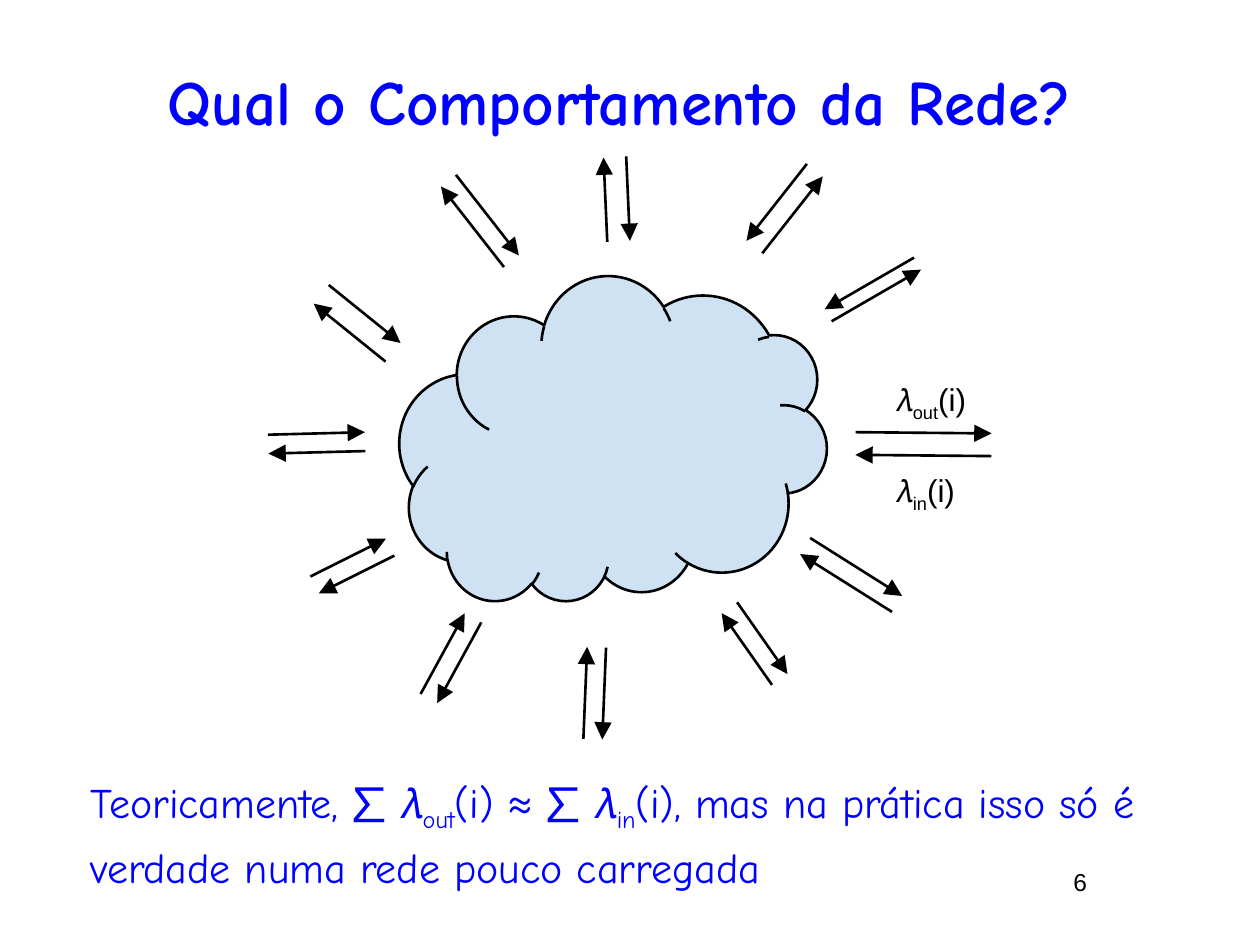
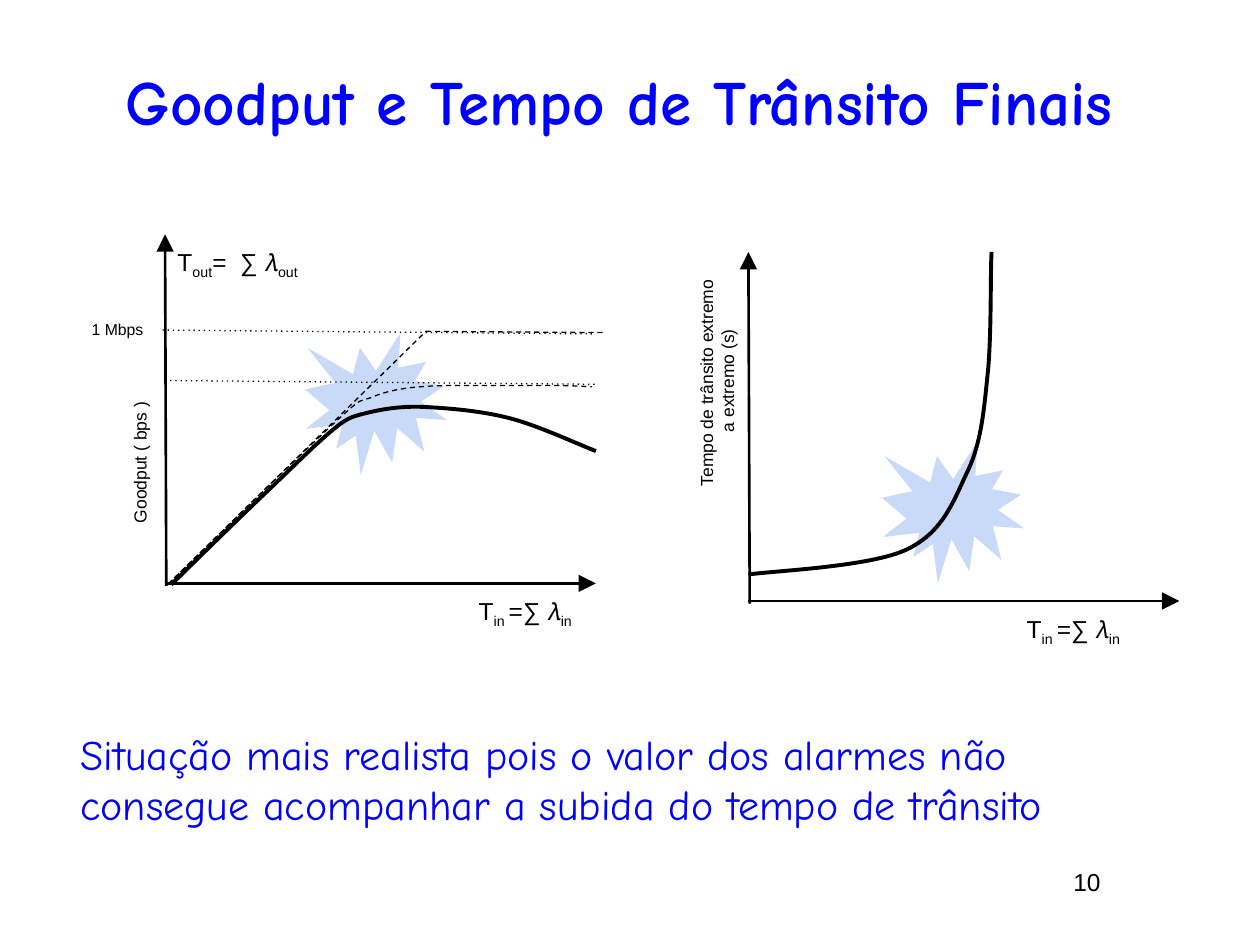
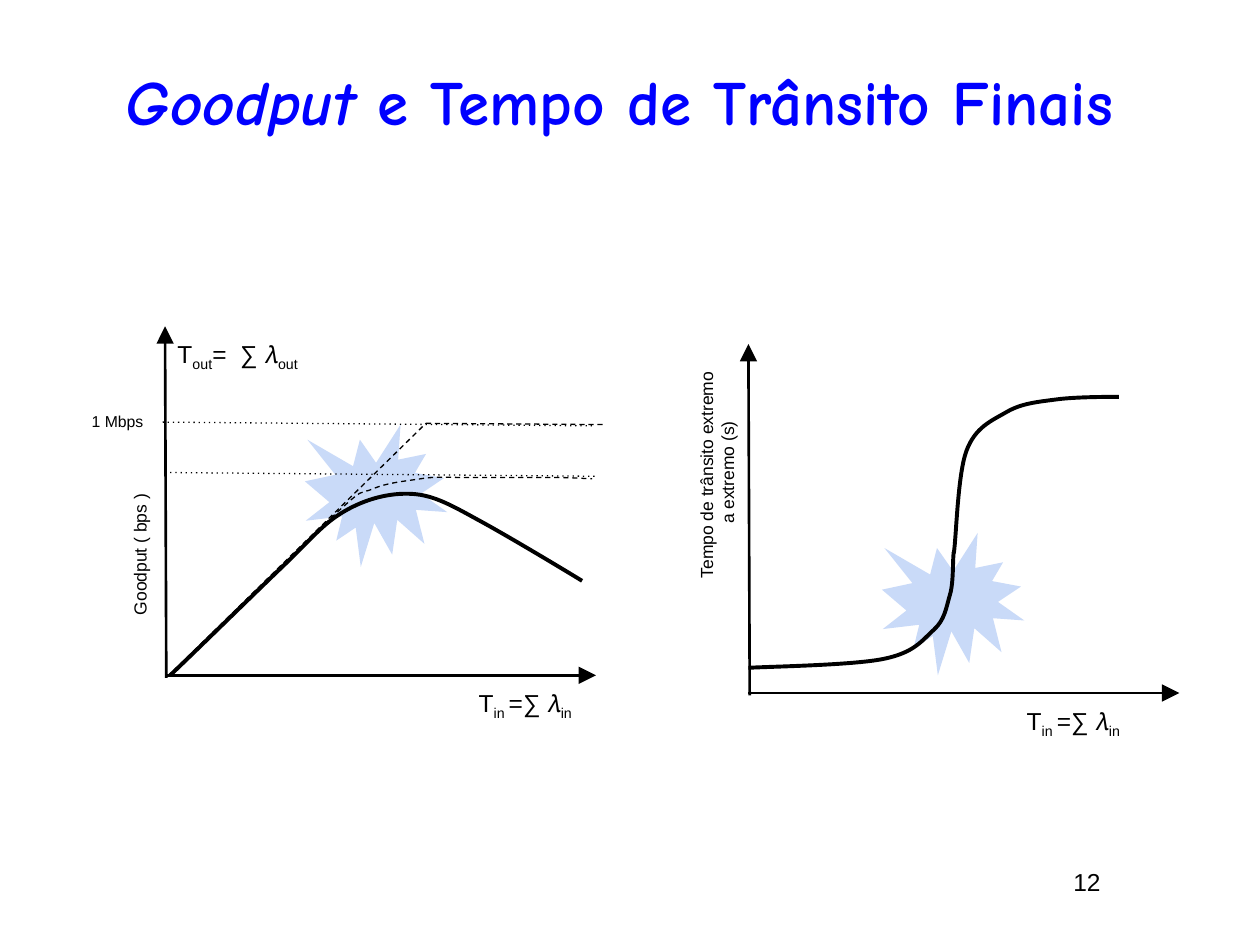
from dataclasses import dataclass
from itertools import pairwise
from math import hypot

from lxml.etree import SubElement
from pptx import Presentation
from pptx.dml.color import RGBColor
from pptx.enum.shapes import MSO_CONNECTOR, MSO_SHAPE
from pptx.enum.text import MSO_ANCHOR, PP_ALIGN
from pptx.oxml.ns import qn
from pptx.util import Pt

PX = 9144


@dataclass(frozen=True)
class Theme:
    """Colours, fonts, type sizes and line widths shared by the slides."""

    ink: str = "000000"
    accent: str = "0000FF"
    cloud: str = "CFE2F3"
    burst: str = "C9DAF8"
    heading_font: str = "Comic Neue"
    label_font: str = "Arial"
    title: int = 36
    body: int = 24
    rate: int = 18
    label: int = 14
    axis: int = 10
    level: int = 9
    thin: float = 0.75
    line: float = 1.5
    thick: float = 2.25


@dataclass(frozen=True)
class Flow:
    """Traffic at one edge: start from the cloud centre, reach outwards, gap to its return."""

    start: tuple
    reach: tuple
    gap: int = 15

    def arrows(self):
        """Return the outgoing arrow and the parallel incoming one."""
        (x, y), (dx, dy) = self.start, self.reach
        shift = self.gap / hypot(dx, dy)
        back_x, back_y = x - dy * shift, y + dx * shift
        return (((x, y), (x + dx, y + dy)),
                ((back_x + dx, back_y + dy), (back_x, back_y)))


THEME = Theme()

FLOWS = {
    "north": Flow((-4, -157), (-3, -67), 18),
    "north-east": Flow((119, -148), (48, -61), -16),
    "east-north-east": Flow((174, -94), (71, -41), -11),
    "east": Flow((193, -6), (108, 1), 18),
    "south-east": Flow((157, 78), (73, 46)),
    "south-south-east": Flow((99, 129), (40, 57)),
    "south": Flow((-5, 165), (-3, 73)),
    "south-south-west": Flow((-104, 145), (-35, 64)),
    "west-south-west": Flow((-173, 92), (-60, 30)),
    "west": Flow((-196, 9), (-77, 2)),
    "west-north-west": Flow((-180, -62), (-57, -46), 19),
    "north-west": Flow((-86, -137), (-50, -64)),
}

AXIS_HEIGHT, AXIS_WIDTH = 277, 342
BURST_SIDE = 113
CAPACITY, USABLE = 76, 116

IDEAL = [(2, 278), (207, 77), (350, 78)]
SATURATED = [(3, 277), (133, 151), (165, 129), (203, 121), (241, 120), (309, 120),
             (339, 121)]
DECLINING = [(5, 278), (80, 205), (131, 157), (159, 142), (206, 137), (274, 146),
             (342, 172)]
COLLAPSING = [(4, 277), (94, 190), (142, 147), (196, 133), (251, 155), (331, 202)]
UNBOUNDED_DELAY = [(0, 256), (126, 236), (174, 174), (190, 96), (193, 0)]
RISING_DELAY = [(0, 257), (107, 250), (147, 227), (160, 199), (163, 165)]
LEVELLED_DELAY = [(163, 166), (173, 85), (205, 54), (245, 44), (294, 42)]


def shifted(origin, point):
    """Turn a point relative to the origin into a slide point."""
    return origin[0] + point[0], origin[1] + point[1]


def emu(lengths):
    """Turn px lengths into whole EMU."""
    return [round(length * PX) for length in lengths]


def lower(font):
    """Set a run as subscript."""
    font._element.set("baseline", "-25000")


def slant(font):
    """Set a run in italics."""
    font.italic = True


def write(slide, box, lines, size, font=THEME.label_font, color=THEME.ink, bold=False,
          align=PP_ALIGN.LEFT, anchor=MSO_ANCHOR.TOP, inset=10, spacing=None,
          rotation=0, mark=lower):
    """Add a text box; the parts between underscores take the given mark."""
    words = slide.shapes.add_textbox(*emu(box))
    words.rotation = rotation
    frame = words.text_frame
    frame.word_wrap = True
    frame.vertical_anchor = anchor
    frame.margin_left = frame.margin_right = 10 * PX
    frame.margin_top = frame.margin_bottom = inset * PX
    frame.text = "\n" * (len(lines) - 1)
    for paragraph, line in zip(frame.paragraphs, lines):
        paragraph.alignment = align
        paragraph.line_spacing = spacing
        for index, part in enumerate(line.split("_")):
            if not part:
                continue
            run = paragraph.add_run()
            run.text = part
            run.font.name = font
            run.font.size = Pt(size)
            run.font.bold = bold
            run.font.color.rgb = RGBColor.from_string(color)
            if index % 2:
                mark(run.font)


def write_message(slide, box, message, **layout):
    """Write the blue closing sentence of a slide."""
    write(slide, box, [message], THEME.body, THEME.heading_font, THEME.accent, **layout)


def stroke(outline, width, dash=None, arrow=False):
    """Style a line or curve, without shadow."""
    outline.line.width = Pt(width)
    outline.line.fill.solid()
    outline.line.fill.fore_color.rgb = RGBColor.from_string(THEME.ink)
    properties = outline.element.spPr
    pen = properties.find(qn("a:ln"))
    if dash:
        SubElement(pen, qn("a:prstDash"), val=dash)
    if arrow:
        SubElement(pen, qn("a:tailEnd"), type="triangle", w="lg", len="lg")
    if properties.find(qn("a:effectLst")) is None:
        SubElement(properties, qn("a:effectLst"))


def draw_line(slide, origin, start, end, width=THEME.line, dash=None, arrow=False):
    """Draw a straight line whose ends are relative to the origin."""
    ends = shifted(origin, start) + shifted(origin, end)
    segment = slide.shapes.add_connector(MSO_CONNECTOR.STRAIGHT, *emu(ends))
    stroke(segment, width, dash, arrow)


def smooth_controls(knots):
    """Return the two controls and the end of each Catmull-Rom span."""
    padded = [knots[0], *knots, knots[-1]]
    spans = []
    for before, start, end, after in zip(padded, padded[1:], padded[2:], padded[3:]):
        leaving = [s + (e - b) / 6 for b, s, e in zip(before, start, end)]
        arriving = [e - (a - s) / 6 for s, e, a in zip(start, end, after)]
        spans += [leaving, arriving, end]
    return spans


def draw_curve(slide, origin, knots, width=THEME.thick, dash=None):
    """Draw a smooth curve through knots relative to the origin."""
    builder = slide.shapes.build_freeform(*shifted(origin, knots[0]), scale=PX)
    builder.add_line_segments(
        [shifted(origin, point) for point in smooth_controls(knots)], close=False)
    curve = builder.convert_to_shape()
    steps = list(curve.element.spPr.iter(qn("a:lnTo")))
    for span in zip(steps[::3], steps[1::3], steps[2::3]):
        bend = SubElement(span[0].getparent(), qn("a:cubicBezTo"))
        for step in span:
            bend.append(step[0])
            step.getparent().remove(step)
    curve.fill.background()
    curve.shadow.inherit = False
    stroke(curve, width, dash)


def fill_shape(slide, kind, box, color):
    """Add a filled preset shape without outline or shadow."""
    figure = slide.shapes.add_shape(kind, *emu(box))
    figure.shadow.inherit = False
    figure.fill.solid()
    figure.fill.fore_color.rgb = RGBColor.from_string(color)
    figure.line.fill.background()
    return figure


def add_page(deck, title, number):
    """Add a blank slide with its title and page number."""
    slide = deck.slides.add_slide(deck.slide_layouts[6])
    write(slide, (33, 42, 917, 75), [title], THEME.title, THEME.heading_font,
          THEME.accent, bold=True, align=PP_ALIGN.CENTER, anchor=MSO_ANCHOR.MIDDLE,
          mark=slant)
    write(slide, (842, 683, 100, 42), [str(number)], THEME.label, inset=5)
    return slide


def draw_network(slide, centre):
    """Draw the network cloud around its centre, with the flows at its edges."""
    cloud = fill_shape(slide, MSO_SHAPE.CLOUD,
                       (*shifted(centre, (-169, -129)), 339, 258), THEME.cloud)
    cloud.rotation = 180
    stroke(cloud, THEME.line)
    for rate, y in (("𝜆_out_(i)", -57), ("𝜆_in_(i)", 15)):
        write(slide, (*shifted(centre, (215, y)), 76, 43), [rate], THEME.rate)
    for flow in FLOWS.values():
        for start, end in flow.arrows():
            draw_line(slide, centre, start, end, arrow=True)


def draw_axes(slide, origin, burst, load_x):
    """Draw the burst, both axes and the load label of a plot."""
    fill_shape(slide, MSO_SHAPE.EXPLOSION1,
               (*shifted(origin, burst), BURST_SIDE, BURST_SIDE), THEME.burst)
    corner = (0, AXIS_HEIGHT)
    draw_line(slide, origin, (1, AXIS_HEIGHT + 2), (0, 0), arrow=True)
    draw_line(slide, origin, corner, (AXIS_WIDTH, AXIS_HEIGHT), arrow=True)
    write(slide, (*shifted(origin, (load_x, AXIS_HEIGHT)), 132, 48),
          ["T_in _=∑ 𝜆_in_"], THEME.label)


def draw_goodput(slide, origin, goodput):
    """Draw the goodput plot with its limits and the final curve."""
    draw_axes(slide, origin, (111, 78), 239)
    for x, level in ((-2, CAPACITY), (0, USABLE)):
        draw_line(slide, origin, (x, level), (x + AXIS_WIDTH, level + 3),
                  THEME.thin, "dot")
    for start, end in pairwise(IDEAL):
        draw_line(slide, origin, start, end, THEME.thin, "dash")
    draw_curve(slide, origin, SATURATED, THEME.thin, "dash")
    draw_curve(slide, origin, goodput)
    write(slide, (*shifted(origin, (-68, CAPACITY - 16)), 90, 49), ["1 Mbps"],
          THEME.level)
    write(slide, (*shifted(origin, (-81, 160)), 123, 35), ["Goodput ( bps )"],
          THEME.axis, rotation=270)
    write(slide, (*origin, 150, 78), ["T_out_=  ∑ 𝜆_out_"], THEME.label)


def draw_delay(slide, origin, delays):
    """Draw the end-to-end transit time plot."""
    draw_axes(slide, origin, (106, 150), 211)
    write(slide, (*shifted(origin, (-128, 75)), 210, 58),
          ["Tempo de trânsito extremo", " a extremo (s)"], THEME.axis,
          align=PP_ALIGN.CENTER, rotation=270)
    for delay in delays:
        draw_curve(slide, origin, delay)


def draw_plots(slide, top, goodput, delays):
    """Place the goodput and transit time plots side by side."""
    draw_goodput(slide, (131, top), goodput)
    draw_delay(slide, (594, top + 14), delays)


def main():
    """Build and save the three slides."""
    deck = Presentation()
    deck.slide_width, deck.slide_height = emu((1000, 750))

    behaviour = add_page(deck, "Qual o Comportamento da Rede?", 6)
    draw_network(behaviour, (486, 349))
    write_message(behaviour, (62, 598, 906, 121),
                  "Teoricamente, ∑ 𝜆_out_(i) ≈ ∑ 𝜆_in_(i), mas na prática isso só é "
                  "verdade numa rede pouco carregada",
                  anchor=MSO_ANCHOR.MIDDLE, spacing=1.15)

    realistic = add_page(deck, "Goodput e Tempo de Trânsito Finais", 10)
    draw_plots(realistic, 186, DECLINING, [UNBOUNDED_DELAY])
    write_message(realistic, (54, 573, 892, 137),
                  "Situação mais realista pois o valor dos alarmes não consegue "
                  "acompanhar a subida do tempo de trânsito", inset=5)

    final = add_page(deck, "_Goodput_ e Tempo de Trânsito Finais", 12)
    draw_plots(final, 259, COLLAPSING, [RISING_DELAY, LEVELLED_DELAY])

    deck.save("out.pptx")


if __name__ == "__main__":
    main()
